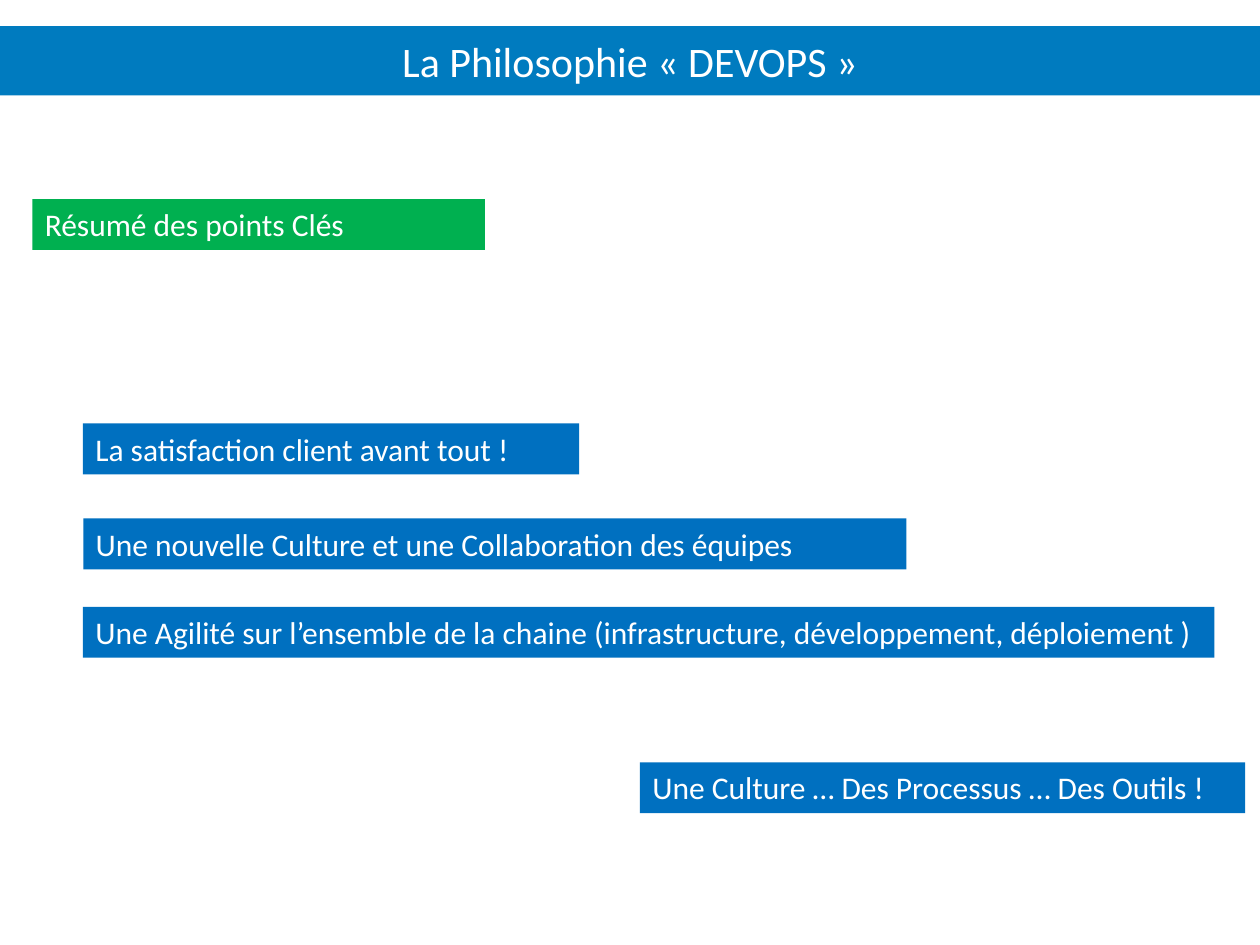
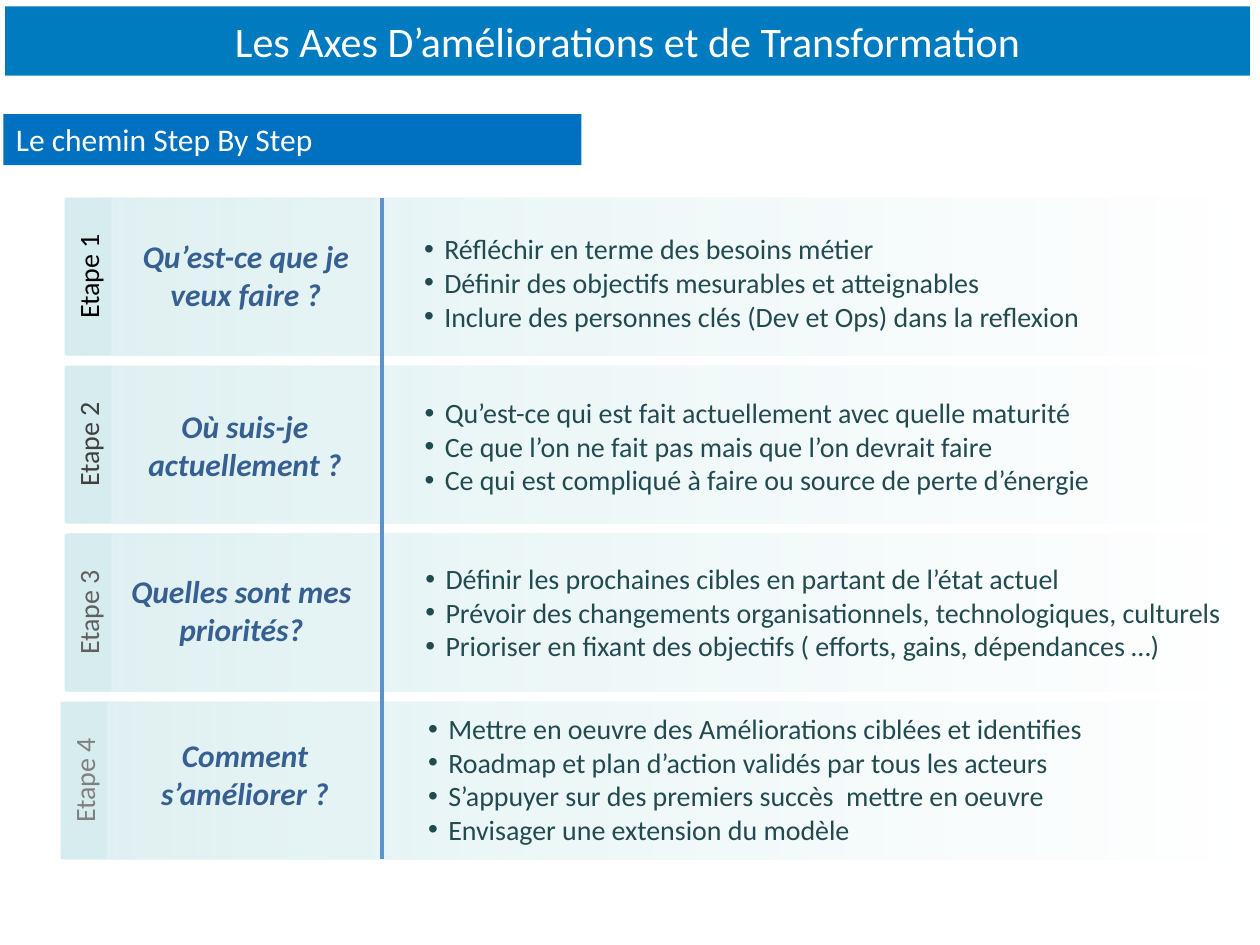
from dataclasses import dataclass
from typing import Any

import pptx
import pptx.dml.color
import pptx.enum.shapes
import pptx.enum.text
import pptx.oxml
import pptx.oxml.ns
import pptx.util

Pt = pptx.util.Pt
RGBColor = pptx.dml.color.RGBColor
Align = pptx.enum.text.PP_ALIGN
Anchor = pptx.enum.text.MSO_ANCHOR
Fit = pptx.enum.text.MSO_AUTO_SIZE
Kind = pptx.enum.shapes.MSO_SHAPE
Link = pptx.enum.shapes.MSO_CONNECTOR

WHITE = RGBColor(0xFF, 0xFF, 0xFF)
AZURE = RGBColor(0x00, 0x7B, 0xBF)
BLUE = RGBColor(0x00, 0x70, 0xC0)
GREEN = RGBColor(0x00, 0xB0, 0x50)
PALE = RGBColor(0xD6, 0xEC, 0xEE)
MIST = RGBColor(0xEB, 0xF6, 0xF7)
NAVY = RGBColor(0x37, 0x60, 0x92)
TEAL = RGBColor(0x22, 0x4B, 0x50)
STEEL = RGBColor(0x5B, 0x92, 0xC8)
BLACK = RGBColor(0x00, 0x00, 0x00)
DARK = RGBColor(0x40, 0x40, 0x40)
GREY = RGBColor(0x60, 0x60, 0x60)
LIGHT = RGBColor(0x80, 0x80, 0x80)

Format = dict[str, Any]
FACE: Format = {"name": "Calibri"}
TITLE: Format = FACE | {"size": Pt(24)}
LABEL: Format = FACE | {"size": Pt(18)}
ASK: Format = LABEL | {"bold": True, "italic": True}
BODY: Format = FACE | {"size": Pt(16)}
GROW: Format = {"word_wrap": True, "auto_size": Fit.SHAPE_TO_FIT_TEXT,
                "vertical_anchor": Anchor.TOP}
MID: Format = GROW | {"vertical_anchor": Anchor.MIDDLE}
FIXED: Format = MID | {"auto_size": Fit.NONE}

TOP, PITCH, HIGH, RIGHT = 113, 96, 90, 714.24
TAB_HIGH = 26.64
RULE_X = 218.2
INDENT = 11.5


@dataclass(frozen=True)
class Box:
    left: float
    top: float
    width: float
    height: float

    def points(self) -> list[int]:
        return [Pt(n) for n in (self.left, self.top, self.width, self.height)]


@dataclass(frozen=True)
class Label:
    text: str
    left: float
    top: float
    width: float
    fill: RGBColor = BLUE


@dataclass(frozen=True)
class Step:
    shade: RGBColor
    left: float
    ask: str
    ask_box: Box
    goals: list[str]
    goal_box: Box


LABELS = [
    Label("Résumé des points Clés", 18.5, 113.8, 258.6, GREEN),
    Label("La satisfaction client avant tout !", 47.4, 242, 283.5),
    Label("Une nouvelle Culture et une Collaboration des équipes", 47.6, 296.3, 470.3),
    Label("Une Agilité sur l’ensemble de la chaine "
          "(infrastructure, développement, déploiement )", 47.4, 346.8, 646.5),
    Label("Une Culture … Des Processus … Des Outils !", 365.7, 435.6, 345.8),
]

STEPS = [
    Step(BLACK, 38.9, "Qu’est-ce que je veux faire ?", Box(70.6, 131.8, 139.7, 51),
         ["Réfléchir en terme des besoins métier",
          "Définir des objectifs mesurables et atteignables",
          "Inclure des personnes clés (Dev et Ops) dans la reflexion"],
         Box(235.3, 129, 408.2, 65.5)),
    Step(DARK, 38.9, "Où suis-je actuellement ?", Box(66.2, 229, 147.6, 51),
         ["Qu’est-ce qui est fait actuellement avec quelle maturité",
          "Ce que l’on ne fait pas mais que l’on devrait faire",
          "Ce qui est compliqué à faire ou source de perte d’énergie"],
         Box(235.6, 222.6, 436.3, 65.5)),
    Step(GREY, 38.9, "Quelles sont mes priorités?", Box(65.5, 323.3, 144.7, 51),
         ["Définir les prochaines cibles en partant de l’état actuel",
          "Prévoir des changements organisationnels, technologiques, culturels",
          "Prioriser en fixant des objectifs ( efforts, gains, dépendances …)"],
         Box(236, 317.5, 486.7, 72)),
    Step(LIGHT, 36.7, "Comment s’améliorer ?", Box(66.2, 416.9, 147.6, 51),
         ["Mettre en oeuvre des Améliorations ciblées et identifies",
          "Roadmap et plan d’action validés par tous les acteurs",
          "S’appuyer sur des premiers succès  mettre en oeuvre",
          "Envisager une extension du modèle"],
         Box(237.6, 403.2, 445.7, 85)),
]


def apply(target: Any, form: Format) -> None:
    for key, value in form.items():
        setattr(target, key, value)


def mark(para: Any) -> None:
    props = para._p.get_or_add_pPr()
    props.set("marL", str(Pt(INDENT)))
    props.set("indent", str(-Pt(INDENT)))
    for tag, key, value in (("a:buFont", "typeface", "Arial"), ("a:buChar", "char", "•")):
        item = pptx.oxml.xmlchemy.OxmlElement(tag)
        item.set(key, value)
        props.append(item)


def write(shape: Any, lines: list[str], form: Format, tint: RGBColor,
          frame: Format, align: Any = Align.LEFT, dots: bool = False) -> None:
    body = shape.text_frame
    apply(body, frame)
    for rank, line in enumerate(lines):
        para = body.add_paragraph() if rank else body.paragraphs[0]
        para.alignment = align
        if dots:
            mark(para)
        run = para.add_run()
        run.text = line
        apply(run.font, form)
        run.font.color.rgb = tint


def draw_rect(slide: Any, box: Box, fill: RGBColor) -> Any:
    shape = slide.shapes.add_shape(Kind.RECTANGLE, *box.points())
    shape.shadow.inherit = False
    shape.fill.solid()
    shape.fill.fore_color.rgb = fill
    shape.line.fill.background()
    return shape


def draw_title(slide: Any, text: str, box: Box) -> None:
    write(draw_rect(slide, box, AZURE), [text], TITLE, WHITE, FIXED, Align.CENTER)


def draw_label(slide: Any, label: Label) -> None:
    box = Box(label.left, label.top, label.width, 29.08)
    write(draw_rect(slide, box, label.fill), [label.text], LABEL, WHITE, GROW)


def draw_text(slide: Any, box: Box, lines: list[str], form: Format,
              tint: RGBColor, align: Any = Align.LEFT, dots: bool = False) -> None:
    write(slide.shapes.add_textbox(*box.points()), lines, form, tint, GROW, align, dots)


def fade(shape: Any) -> None:
    space = pptx.oxml.ns.nsdecls("a")
    stops = "".join(
        f'<a:gs pos="{spot * 1000}"><a:srgbClr val="{tint}">'
        f'<a:alpha val="{alpha * 1000}"/></a:srgbClr></a:gs>'
        for spot, tint, alpha in ((0, PALE, 75), (35, MIST, 100), (100, WHITE, 100)))
    grad = pptx.oxml.parse_xml(
        f'<a:gradFill {space} rotWithShape="1"><a:gsLst>{stops}</a:gsLst>'
        '<a:lin ang="0" scaled="0"/></a:gradFill>')
    props = shape._element.spPr
    props.replace(props.find(pptx.oxml.ns.qn("a:solidFill")), grad)


def draw_step(slide: Any, rank: int, step: Step) -> None:
    top = TOP + rank * PITCH
    fade(draw_rect(slide, Box(step.left, top, RIGHT - step.left, HIGH), PALE))
    shift = (HIGH - TAB_HIGH) / 2
    tab = draw_rect(slide, Box(step.left - shift - 2, top + shift, HIGH, TAB_HIGH), PALE)
    tab.rotation = 270
    write(tab, [f"Etape {rank + 1}"], BODY, step.shade, MID, Align.CENTER)
    draw_text(slide, step.ask_box, [step.ask], ASK, NAVY, Align.CENTER)
    draw_text(slide, step.goal_box, step.goals, BODY, TEAL, dots=True)


def draw_rule(slide: Any) -> None:
    end = TOP + (len(STEPS) - 1) * PITCH + HIGH
    rule = slide.shapes.add_connector(Link.STRAIGHT, Pt(RULE_X), Pt(TOP), Pt(RULE_X), Pt(end))
    rule.line.color.rgb = STEEL
    rule.line.width = Pt(2.5)
    rule._element.spPr.append(pptx.oxml.xmlchemy.OxmlElement("a:effectLst"))


def main() -> None:
    deck = pptx.Presentation()
    apply(deck, {"slide_width": Pt(720), "slide_height": Pt(540)})
    blank = deck.slide_layouts[6]

    points = deck.slides.add_slide(blank)
    draw_title(points, "La Philosophie « DEVOPS »", Box(0, 15, 720, 39.6))
    for label in LABELS:
        draw_label(points, label)

    path = deck.slides.add_slide(blank)
    draw_title(path, "Les Axes D’améliorations et de Transformation",
               Box(2.9, 3.6, 711.4, 39.6))
    draw_label(path, Label("Le chemin Step By Step", 2, 65.3, 330.3))
    for rank, step in enumerate(STEPS):
        draw_step(path, rank, step)
    draw_rule(path)

    deck.save("out.pptx")


if __name__ == "__main__":
    main()
